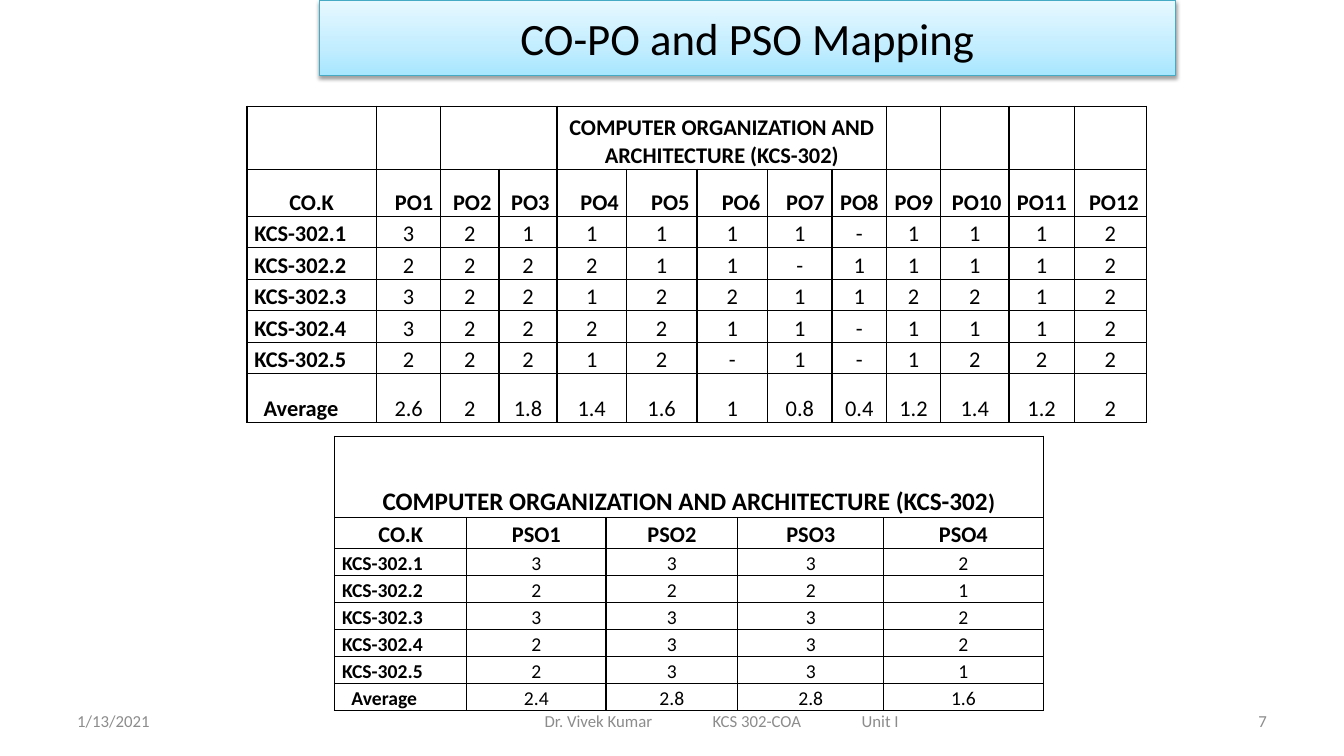
"""Build the CO-PO and PSO mapping slide with its two attainment tables."""
from dataclasses import dataclass

from lxml.etree import SubElement
from pptx import Presentation
from pptx.dml.color import RGBColor
from pptx.enum.shapes import MSO_SHAPE
from pptx.enum.text import MSO_ANCHOR, PP_ALIGN
from pptx.oxml import parse_xml
from pptx.oxml.ns import qn
from pptx.util import Pt

NS = 'xmlns:a="http://schemas.openxmlformats.org/drawingml/2006/main"'
LEFT, CENTER, RIGHT = PP_ALIGN.LEFT, PP_ALIGN.CENTER, PP_ALIGN.RIGHT
BOTTOM, MIDDLE, TOP = MSO_ANCHOR.BOTTOM, MSO_ANCHOR.MIDDLE, MSO_ANCHOR.TOP
COURSES = [f"KCS-302.{n}" for n in range(1, 6)] + ["Average"]


@dataclass
class Run:
    text: str
    size: float
    bold: bool = False
    color: str = "000000"


@dataclass
class Footer:
    left: float
    width: float
    text: str
    align: PP_ALIGN = LEFT
    inset: float = 7.2
    tabs: tuple[float, ...] = ()


@dataclass
class Mapping:
    left: float
    top: float
    cols: list[float]
    rows: list[float]
    spans: list[tuple[int, int]]
    title_col: int
    title: list[Run]
    title_spacing: float
    heads: list[str]
    head_aligns: list[PP_ALIGN]
    values: list[str]
    size: float
    value_anchor: MSO_ANCHOR


FOOTERS = [
    Footer(48, 224, "1/13/2021"),
    Footer(318, 396, "Dr. Vivek Kumar\tKCS 302-COA\tUnit I", inset=71, tabs=(120, 226.5)),
    Footer(688, 224, "7", RIGHT),
]

MAPPINGS = [
    Mapping(
        176.4, 75.8,
        [92.5, 46, 41.5, 41.5, 49.5, 50.5, 50.5, 46, 39, 38.5, 49, 46.5, 51.5],
        [45, 33.8] + [22.5] * 5 + [35],
        [(2, 3), (4, 8)], 4,
        [Run("COMPUTER ORGANIZATION AND ARCHITECTURE (KCS-302)", 16, True)], 1,
        ["CO.K"] + [f"PO{n}" for n in range(1, 13)],
        [CENTER] + [RIGHT] * 7 + [CENTER] + [RIGHT] * 4,
        ["3 2 1 1 1 1 1 - 1 1 1 2",
         "2 2 2 2 1 1 - 1 1 1 1 2",
         "3 2 2 1 2 2 1 1 2 2 1 2",
         "3 2 2 2 2 1 1 - 1 1 1 2",
         "2 2 2 1 2 - 1 - 1 2 2 2",
         "2.6 2 1.8 1.4 1.6 1 0.8 0.4 1.2 1.4 1.2 2"],
        16, BOTTOM),
    Mapping(
        239, 311.6,
        [94.5, 99.4, 94.2, 104.2, 113.9],
        [58] + [16.6] * 7,
        [(0, 4)], 0,
        [Run("COMPUTER ORGANIZATION AND ARCHITECTURE (KCS-302", 18, True), Run(")", 16, True)], 1.15,
        ["CO.K"] + [f"PSO{n}" for n in range(1, 5)],
        [CENTER] * 5,
        ["3 3 3 2", "2 2 2 1", "3 3 3 2", "2 3 3 2", "2 3 3 1", "2.4 2.8 2.8 1.6"],
        14, TOP),
]


def rgb(color: str) -> RGBColor:
    return RGBColor.from_string(color)


def add_runs(p, runs: list[Run], align: PP_ALIGN, spacing: float = 1) -> None:
    p.alignment = align
    p.line_spacing = spacing
    for run in runs:
        r = p.add_run()
        r.text = run.text
        r.font.name = "Calibri"
        r.font.size = Pt(run.size)
        r.font.bold = run.bold
        r.font.color.rgb = rgb(run.color)


def add_footer(s, footer: Footer) -> None:
    tf = s.shapes.add_textbox(Pt(footer.left), Pt(500.4), Pt(footer.width), Pt(28.8)).text_frame
    tf.word_wrap = True
    tf.vertical_anchor = MIDDLE
    tf.margin_left = Pt(footer.inset)
    p = tf.paragraphs[0]
    if footer.tabs:
        tab_list = SubElement(p._p.get_or_add_pPr(), qn("a:tabLst"))
        for pos in footer.tabs:
            SubElement(tab_list, qn("a:tab"), pos=str(Pt(pos)), algn="l")
    add_runs(p, [Run(footer.text, 12, color="8C8C8C")], footer.align)


def add_banner(s) -> None:
    sp = s.shapes.add_shape(MSO_SHAPE.RECTANGLE, Pt(228), Pt(0), Pt(612), Pt(54))
    sp.shadow.inherit = False
    sp.line.color.rgb = rgb("46AAC5")
    sp.line.width = Pt(0.75)
    sp.fill.gradient()
    stops = "".join(f'<a:gs pos="{pos}000"><a:srgbClr val="{color}"/></a:gs>'
                    for pos, color in ((0, "A7E6FF"), (35, "C1EDFF"), (100, "E7F8FF")))
    gradient = parse_xml(f'<a:gradFill {NS} rotWithShape="1"><a:gsLst>{stops}</a:gsLst>'
                         '<a:lin ang="16200000" scaled="0"/></a:gradFill>')
    props = sp._element.spPr
    props.replace(props.find(qn("a:gradFill")), gradient)
    props.find(qn("a:effectLst")).append(parse_xml(
        f'<a:outerShdw {NS} blurRad="{Pt(3.1)}" dist="{Pt(1.6)}" dir="5400000" rotWithShape="0">'
        '<a:srgbClr val="000000"><a:alpha val="38000"/></a:srgbClr></a:outerShdw>'))
    tf = sp.text_frame
    tf.word_wrap = True
    tf.vertical_anchor = MIDDLE
    add_runs(tf.paragraphs[0], [Run("CO-PO and PSO Mapping", 32)], CENTER)


def style_cell(cell) -> None:
    cell.margin_left = cell.margin_right = Pt(5.4)
    cell.margin_top = cell.margin_bottom = Pt(0)
    cell.vertical_anchor = BOTTOM
    props = cell._tc.get_or_add_tcPr()
    for side in ("lnL", "lnR", "lnT", "lnB"):
        props.append(parse_xml(f'<a:{side} {NS} w="{Pt(1)}"><a:solidFill>'
                               f'<a:srgbClr val="000000"/></a:solidFill></a:{side}>'))
    cell.fill.background()


def add_mapping(s, m: Mapping) -> None:
    table = s.shapes.add_table(len(m.rows), len(m.cols), Pt(m.left), Pt(m.top),
                               Pt(sum(m.cols)), Pt(sum(m.rows))).table
    table.first_row = table.horz_banding = False
    for col, width in zip(table.columns, m.cols):
        col.width = Pt(width)
    for row, height in zip(table.rows, m.rows):
        row.height = Pt(height)
    for cell in table.iter_cells():
        style_cell(cell)
    for first, last in m.spans:
        table.cell(0, first).merge(table.cell(0, last))
    add_runs(table.cell(0, m.title_col).text_frame.paragraphs[0], m.title, CENTER, m.title_spacing)
    for c, (head, align) in enumerate(zip(m.heads, m.head_aligns)):
        add_runs(table.cell(1, c).text_frame.paragraphs[0], [Run(head, 16, True)], align, 1.15)
    for r, (course, values) in enumerate(zip(COURSES, m.values), start=2):
        label = table.cell(r, 0)
        add_runs(label.text_frame.paragraphs[0], [Run(course, m.size, True)], LEFT, 1.15)
        if course == "Average":
            label.margin_left = Pt(12)
        for c, value in enumerate(values.split(), start=1):
            cell = table.cell(r, c)
            cell.vertical_anchor = m.value_anchor
            add_runs(cell.text_frame.paragraphs[0], [Run(value, m.size)], CENTER, 1.15)


def main() -> None:
    prs = Presentation()
    prs.slide_width, prs.slide_height = Pt(960), Pt(540)
    s = prs.slides.add_slide(prs.slide_layouts[6])
    for footer in FOOTERS:
        add_footer(s, footer)
    add_banner(s)
    for mapping in MAPPINGS:
        add_mapping(s, mapping)
    prs.save("out.pptx")


if __name__ == "__main__":
    main()
